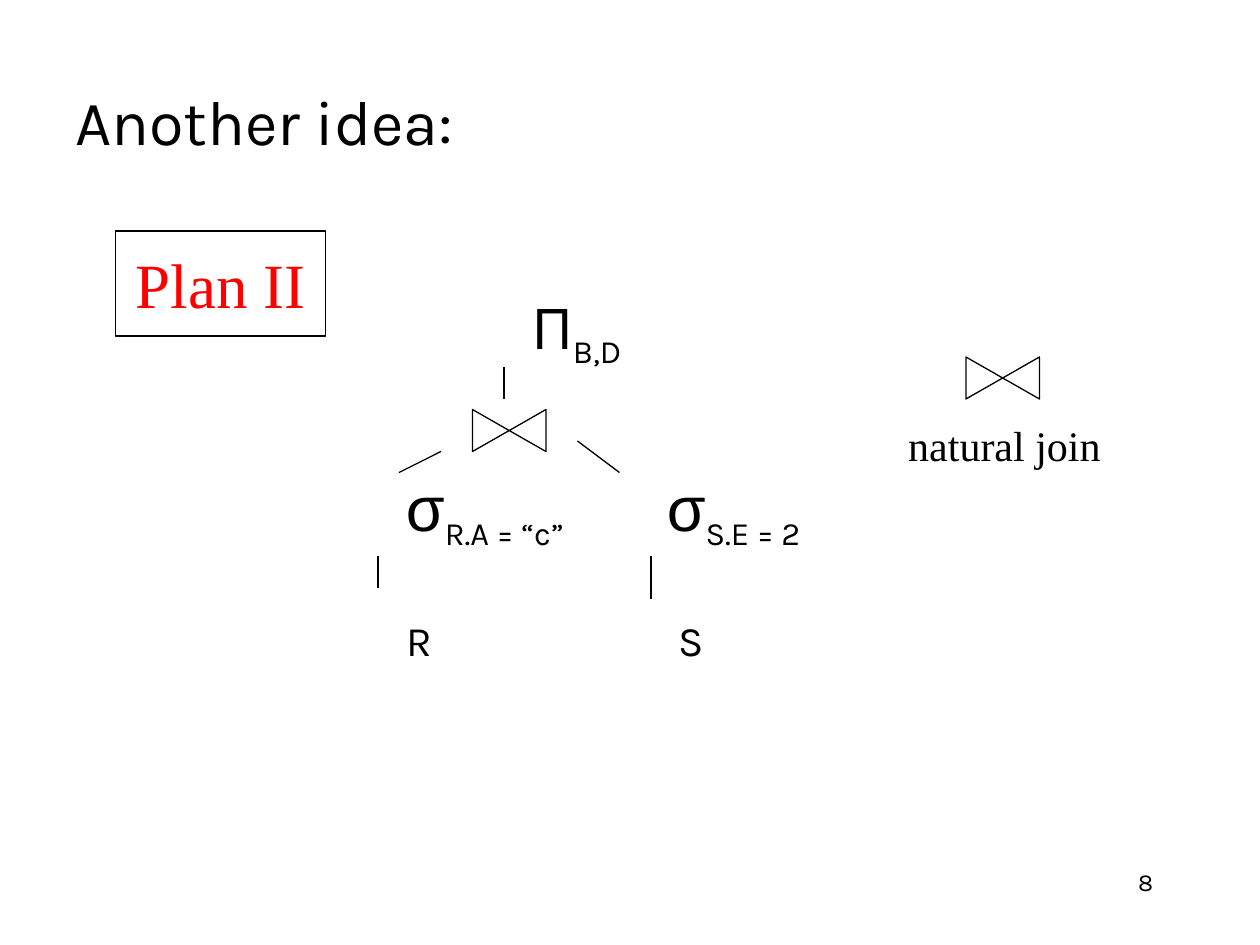
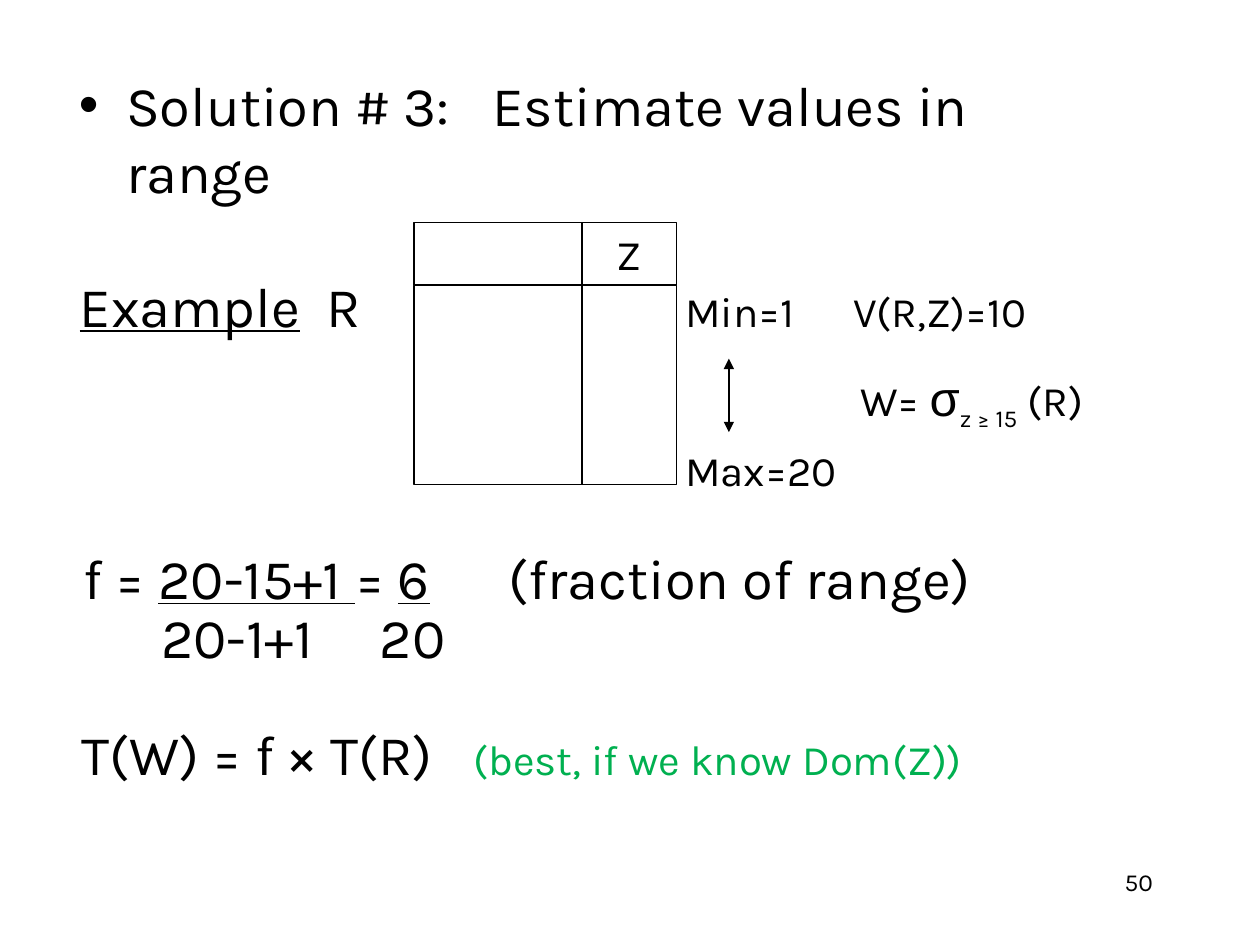
from lxml import etree
from pptx import Presentation
from pptx import util as u
from pptx.dml.color import RGBColor
from pptx.enum import shapes, text
from pptx.oxml.ns import qn

Pt = u.Pt
BLACK = RGBColor(0x00, 0x00, 0x00)
WHITE = RGBColor(0xFF, 0xFF, 0xFF)
RED = RGBColor(0xFF, 0x00, 0x00)
GREEN = RGBColor(0x00, 0xB0, 0x50)
KARLA, TIMES, ARIAL = "Karla", "Times New Roman", "Arial"
ASCENT = {KARLA: 1.01, TIMES: 0.89}
SUB = {"baseline": "-25000"}
UNDERLINE = {"u": "sng"}


def put_text(sp, runs, size, font=KARLA, color=BLACK, align=text.PP_ALIGN.LEFT):
    """Fill the first paragraph; a run is (text, attributes, optional font and size)."""
    p = sp.text_frame.paragraphs[0]
    p.alignment = align
    p.font.size, p.font.name, p.font.color.rgb = Pt(size), font, color
    for words, attributes, *face in runs:
        r = p.add_run()
        r.text = words
        r.font.name, r.font.size = (face[0], Pt(face[1])) if face else (font, Pt(size))
        r.font.color.rgb = color
        for name, value in attributes.items():
            r._r.get_or_add_rPr().set(name, value)
    return p


def draw(s, kind, x, y, w, h):
    """Add a white shape with a thin black outline."""
    sp = s.shapes.add_shape(kind, Pt(x), Pt(y), Pt(w), Pt(h))
    sp.shadow.inherit = False
    sp.fill.solid()
    sp.fill.fore_color.rgb = WHITE
    sp.line.color.rgb = BLACK
    sp.line.width = Pt(0.75)
    sp.text_frame.word_wrap = False
    sp.text_frame.vertical_anchor = text.MSO_ANCHOR.MIDDLE
    return sp


prs = Presentation()
prs.slide_width, prs.slide_height = Pt(720), Pt(540)
plan, estimate = [prs.slides.add_slide(prs.slide_layouts[6]) for _ in range(2)]
RECT = shapes.MSO_SHAPE.RECTANGLE

# Page numbers
for s, number in ((plan, "8"), (estimate, "50")):
    sp = s.shapes.add_textbox(Pt(516), Pt(492), Pt(150), Pt(36))
    sp.text_frame.word_wrap = True
    put_text(sp, [(number, {})], 14, align=text.PP_ALIGN.RIGHT)

# Plan slide: title, plan name and join symbols
sp = plan.shapes.add_textbox(Pt(36), Pt(24), Pt(612), Pt(90))
sp.text_frame.word_wrap = True
sp.text_frame.vertical_anchor = text.MSO_ANCHOR.MIDDLE
put_text(sp, [("Another idea:", {})], 36)

sp = draw(plan, RECT, 66, 132, 120, 60)
put_text(sp, [("Plan II", {})], 36, TIMES, RED, text.PP_ALIGN.CENTER)

for x, y in ((279, 225), (561, 195)):
    sp = draw(plan, shapes.MSO_SHAPE.FLOWCHART_COLLATE, x, y, 24, 42)
    sp.rotation = 270

# Estimate slide: heading and relation R
sp = estimate.shapes.add_textbox(Pt(38), Pt(36.5), Pt(612), Pt(90))
sp.text_frame.word_wrap = True
# The wide single space separates the number from the heading
p = put_text(sp, [("Solution # 3:", {}), (" ", {"spc": "1650"}),
                  ("Estimate values in range", {})], 32)
pPr = p._p.get_or_add_pPr()
pPr.set("marL", str(Pt(27)))
pPr.set("indent", str(Pt(-27)))
bullet = etree.Element(qn("a:buChar"), char="•")
pPr.insert(0, bullet)
bullet.addprevious(etree.Element(qn("a:buFont"), typeface=ARIAL))

for y, h in ((127, 36), (163, 114)):
    for x, w in ((236.5, 96), (332.5, 54)):
        sp = draw(estimate, RECT, x, y, w, h)
        if (x, y) == (332.5, 127):
            put_text(sp, [("Z", {})], 24, align=text.PP_ALIGN.CENTER)

# Labels: slide, left, baseline, width, size, font, colour, runs
SIGMA = ("σ", {}, ARIAL, 36)
labels = [
    (plan, 304, 200, 60, 32, KARLA, BLACK, [("Π", {}), ("B,D", SUB)]),
    (plan, 232, 300, 100, 32, KARLA, BLACK, [SIGMA, ("R.A = “c”", SUB)]),
    (plan, 381, 300, 90, 32, KARLA, BLACK, [SIGMA, ("S.E = 2", SUB)]),
    (plan, 232.5, 375.5, 18, 24, KARLA, BLACK, [("R", {})]),
    (plan, 387.5, 375.5, 18, 24, KARLA, BLACK, [("S", {})]),
    (plan, 519, 261, 112, 24, TIMES, BLACK, [("natural join", {})]),
    (estimate, 45.5, 187.5, 128, 32, KARLA, BLACK, [("Example", UNDERLINE)]),
    (estimate, 186.5, 187.5, 24, 32, KARLA, BLACK, [("R", {})]),
    (estimate, 391.5, 187.5, 66, 24, KARLA, BLACK, [("Min=1", {})]),
    (estimate, 487.5, 187.5, 102, 24, KARLA, BLACK, [("V(R,Z)=10", {})]),
    (estimate, 491.5, 234.5, 130, 24, KARLA, BLACK,
     [("W= ", {}), ("σ", {}, ARIAL, 28), ("z ≥ 15", SUB), (" (R)", {})]),
    (estimate, 391.5, 278.5, 90, 24, KARLA, BLACK, [("Max=20", {})]),
    (estimate, 47.5, 343, 204, 32, KARLA, BLACK,
     [("f = ", {}), ("20-15+1 ", UNDERLINE), ("= ", {}), ("6", UNDERLINE)]),
    (estimate, 290.5, 343, 266, 32, KARLA, BLACK, [("(fraction of range)", {})]),
    (estimate, 92, 376.5, 90, 32, KARLA, BLACK, [("20-1+1", {})]),
    (estimate, 217, 376.5, 40, 32, KARLA, BLACK, [("20", {})]),
    (estimate, 46.5, 443.5, 204, 32, KARLA, BLACK, [("T(W) = f × T(R)", {})]),
    (estimate, 270.5, 443.5, 280, 24, KARLA, GREEN, [("(best, if we know Dom(Z))", {})]),
]
for s, x, baseline, w, size, font, color, runs in labels:
    top = baseline - ASCENT[font] * size
    sp = s.shapes.add_textbox(Pt(x), Pt(top), Pt(w), Pt(1.25 * size))
    tf = sp.text_frame
    tf.word_wrap = False
    tf.margin_left = tf.margin_right = tf.margin_top = tf.margin_bottom = 0
    put_text(sp, runs, size, font, color)

# Tree branches and the arrow between minimum and maximum
lines = [
    (plan, 288, 210, 288, 228),
    (plan, 252, 258, 228, 270),
    (plan, 330, 252, 354, 270),
    (plan, 216, 318, 216, 336),
    (plan, 372, 318, 372, 342),
    (estimate, 416.5, 205, 416.5, 247),
]
for s, x1, y1, x2, y2 in lines:
    line = s.shapes.add_connector(shapes.MSO_CONNECTOR.STRAIGHT, Pt(x1), Pt(y1), Pt(x2), Pt(y2))
    line.line.color.rgb = BLACK
    line.line.width = Pt(0.75)
    if s is estimate:
        for end in ("a:headEnd", "a:tailEnd"):
            etree.SubElement(line.line._get_or_add_ln(), qn(end), type="triangle")
    etree.SubElement(line._element.spPr, qn("a:effectLst"))

prs.save("out.pptx")
